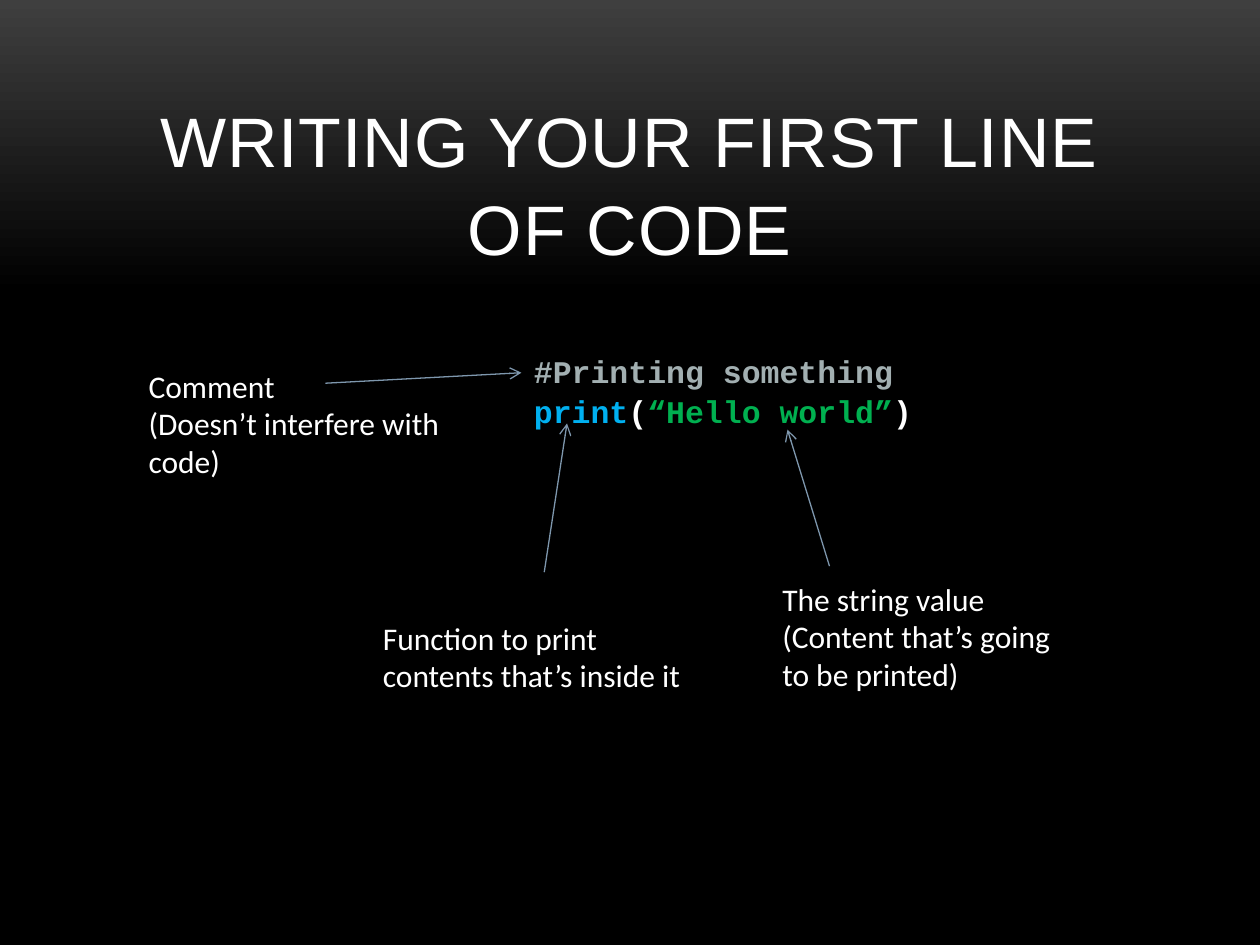
from copy import deepcopy

from lxml import etree
from pptx import Presentation
from pptx import util as u
from pptx.dml.color import RGBColor
from pptx.enum import shapes, text
from pptx.oxml.ns import qn

COLORS = {
    "glow": "3F3F3F",
    "black": "000000",
    "white": "FFFFFF",
    "comment": "A2AFB1",
    "function": "00B0F0",
    "string": "00B050",
    "arrow": "7E97AD",
}


def rgb(name):
    return RGBColor.from_string(COLORS[name])


class Lesson:
    note_font = "Calibri"
    code_font = "Courier New"
    title_font = "Arial"
    body_size = 18
    title_size = 40

    def __init__(self, slide):
        self.slide = slide

    def background(self):
        fill = self.slide.background.fill
        fill.gradient()
        fill.gradient_angle = 270
        top, fade = fill.gradient_stops
        top.color.rgb, top.position = rgb("glow"), 0
        fade.color.rgb, fade.position = rgb("black"), 0.31
        fade_stop = list(self.slide.element.iter(qn("a:gs")))[-1]
        bottom_stop = deepcopy(fade_stop)
        bottom_stop.set("pos", "100000")
        fade_stop.addnext(bottom_stop)

    def frame(self, left, top, width, height):
        box = self.slide.shapes.add_textbox(*map(u.Pt, (left, top, width, height)))
        box.text_frame.word_wrap = True
        box.text_frame.vertical_anchor = text.MSO_ANCHOR.TOP
        return box.text_frame

    def style(self, run, font, size, color="white", bold=False):
        run.font.name = font
        run.font.size = u.Pt(size)
        run.font.bold = bold
        run.font.color.rgb = rgb(color)

    def title(self, wording, *place):
        frame = self.frame(*place)
        frame.margin_top = u.Pt(6)
        frame.text = wording
        heading = frame.paragraphs[0]
        heading.alignment = text.PP_ALIGN.CENTER
        heading.line_spacing = 1.04
        run = heading.runs[0]
        self.style(run, self.title_font, self.title_size)
        run.font._element.set("spc", "50")

    def note(self, wording, *place):
        frame = self.frame(*place)
        frame.text = wording
        for line in frame.paragraphs:
            self.style(line.runs[0], self.note_font, self.body_size)

    def code(self, lines, *place):
        frame = self.frame(*place)
        frame.margin_top = u.Pt(5)
        for number, tokens in enumerate(lines):
            line = frame.add_paragraph() if number else frame.paragraphs[0]
            line.line_spacing = 1.06
            for wording, color in tokens:
                run = line.add_run()
                run.text = wording
                self.style(run, self.code_font, self.body_size, color, bold=True)

    def arrow(self, *ends):
        pointer = self.slide.shapes.add_connector(
            shapes.MSO_CONNECTOR.STRAIGHT, *map(u.Pt, ends))
        pointer.line.color.rgb = rgb("arrow")
        pointer.line.width = u.Pt(0.75)
        etree.SubElement(pointer.line._get_or_add_ln(), qn("a:tailEnd"), type="arrow")
        etree.SubElement(pointer._element.spPr, qn("a:effectLst"))


def main():
    deck = Presentation()
    deck.slide_width, deck.slide_height = u.Pt(720), u.Pt(540)
    lesson = Lesson(deck.slides.add_slide(deck.slide_layouts[6]))

    lesson.background()
    lesson.title("WRITING YOUR FIRST LINE OF CODE", 54, 48, 612, 116)
    lesson.code(
        [
            [("#Printing something", "comment")],
            [("print", "function"), ("(", "white"),
             ("“Hello world”", "string"), (")", "white")],
        ],
        298, 195, 232.5, 72.7)

    lesson.arrow(311, 327, 324, 242)
    lesson.arrow(474, 323.5, 450, 245.5)
    lesson.arrow(186, 219, 298, 213)

    lesson.note("Function to print contents that’s inside it", 211.7, 350, 202.3, 51)
    lesson.note("The string value\n(Content that’s going to be printed)",
                440, 327.6, 180, 72.7)
    lesson.note("Comment\n(Doesn’t interfere with code)", 77.8, 206, 201.6, 72.7)

    deck.save("out.pptx")


if __name__ == "__main__":
    main()
